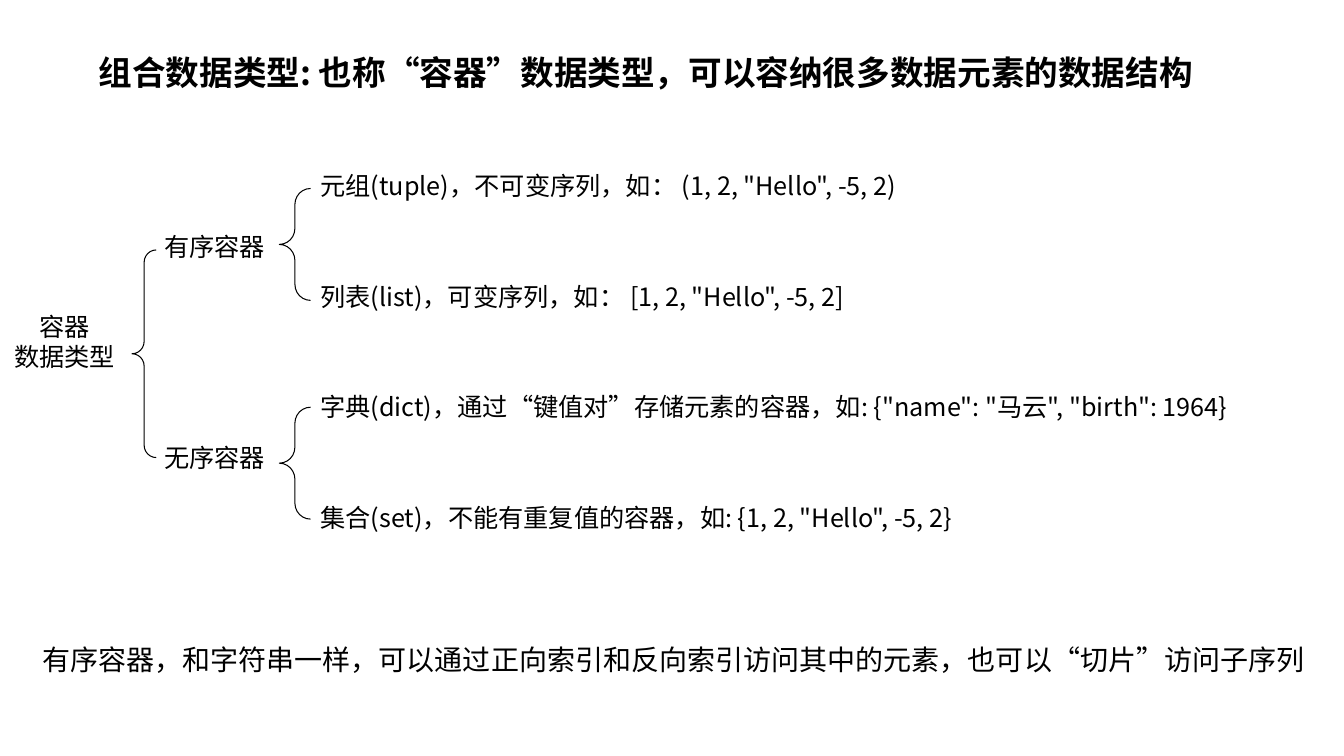
import pptx
import pptx.util
import pptx.dml.color
import pptx.enum.shapes
import pptx.enum.text
import lxml.etree
from pptx.util import Inches
from pptx.oxml.ns import qn

THEME = {
    "font": "Noto Sans CJK SC",
    "ink": pptx.dml.color.RGBColor(0, 0, 0),
    "title": pptx.util.Pt(24),
    "note": pptx.util.Pt(20),
    "body": pptx.util.Pt(18),
    "line": pptx.util.Pt(0.75),
}

prs = pptx.Presentation()
prs.slide_width = Inches(13.33)
prs.slide_height = Inches(7.5)
s = prs.slides.add_slide(prs.slide_layouts[6])


def add_text(left, top, width, height, lines, size="body", bold=None, align=None):
    sp = s.shapes.add_textbox(Inches(left), Inches(top), Inches(width), Inches(height))
    tf = sp.text_frame
    tf.word_wrap = True
    tf.auto_size = pptx.enum.text.MSO_AUTO_SIZE.SHAPE_TO_FIT_TEXT
    for i, line in enumerate(lines):
        p = tf.add_paragraph() if i else tf.paragraphs[0]
        p.alignment = align
        r = p.add_run()
        r.text = line
        fmt = {"name": THEME["font"], "size": THEME[size], "bold": bold}
        for key, value in fmt.items():
            setattr(r.font, key, value)
        r.font.color.rgb = THEME["ink"]
        ea = lxml.etree.SubElement(r.font._element, qn("a:ea"))
        ea.set("typeface", THEME["font"])


def add_brace(left, top, width, height):
    sp = s.shapes.add_shape(pptx.enum.shapes.MSO_SHAPE.LEFT_BRACE,
                            Inches(left), Inches(top), Inches(width), Inches(height))
    sp.shadow.inherit = False
    sp.adjustments[0] = 0.512
    sp.adjustments[1] = 0.5
    sp.fill.background()
    sp.line.color.rgb = THEME["ink"]
    sp.line.width = THEME["line"]


add_text(0.88, 0.47, 11.15, 0.5,
         ["组合数据类型: 也称“容器”数据类型，可以容纳很多数据元素的数据结构"],
         size="title", bold=True)
add_text(0, 3.04, 1.28, 0.71, ["容器", "数据类型"], align=pptx.enum.text.PP_ALIGN.CENTER)

for top, label in [(2.25, "有序容器"), (4.34, "无序容器")]:
    add_text(1.53, top, 1.21, 0.4, [label])

types = [
    (6.09, '元组(tuple)，不可变序列，如： (1, 2, "Hello", -5, 2)'),
    (5.56, '列表(list)，可变序列，如： [1, 2, "Hello", -5, 2]'),
    (9.33, '字典(dict)，通过“键值对”存储元素的容器，如: {"name": "马云", "birth": 1964}'),
    (6.64, '集合(set)，不能有重复值的容器，如: {1, 2, "Hello", -5, 2}'),
]
for i, (width, text) in enumerate(types):
    add_text(3.08, 1.64 + 1.097 * i, width, 0.4, [text])

add_brace(1.31, 2.48, 0.24, 2.06)
for top in (1.87, 4.04):
    add_brace(2.77, top, 0.31, 1.11)

add_text(0.32, 6.33, 12.82, 0.44,
         ["有序容器，和字符串一样，可以通过正向索引和反向索引访问其中的元素，也可以“切片”访问子序列"],
         size="note")

prs.save("out.pptx")
